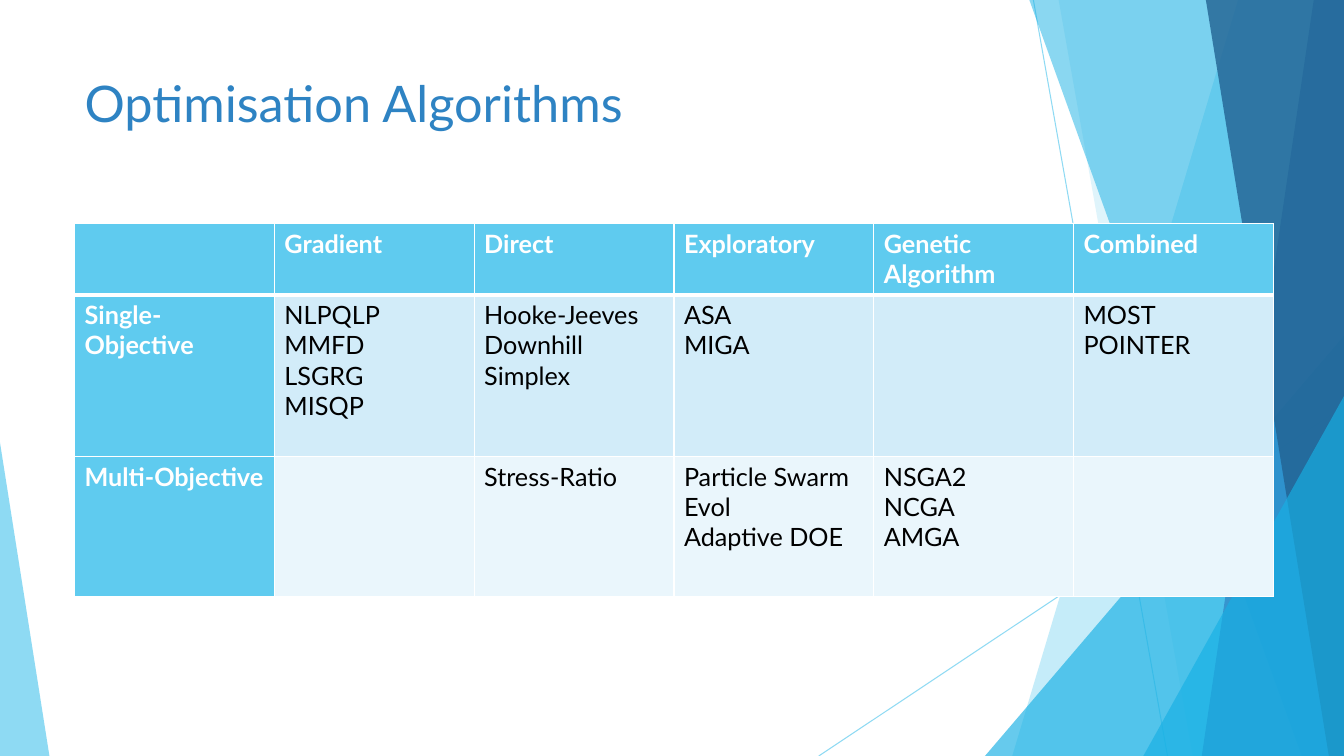
from lxml.etree import SubElement
from pptx import Presentation
from pptx.dml.color import RGBColor
from pptx.enum.shapes import MSO_CONNECTOR, MSO_SHAPE
from pptx.oxml.ns import qn
from pptx.util import Inches, Pt

SKY, CYAN, BLUE, NAVY = "5FCBEF", "17B0E4", "2E83C3", "226292"
WHITE, BLACK = "FFFFFF", "000000"
ROW_TINTS = ["D2ECF9", "EAF6FC"]


def rgb(value):
    return RGBColor.from_string(value)


class Deck:
    font = "Lato"

    def __init__(self):
        self.presentation = Presentation()
        self.presentation.slide_width = Inches(13.33)
        self.presentation.slide_height = Inches(7.5)
        self.slide = self.presentation.slides.add_slide(self.presentation.slide_layouts[6])

    def x(self, share):
        return round(self.presentation.slide_width * share / 100)

    def y(self, share):
        return round(self.presentation.slide_height * share / 100)

    def box(self, left, top, width, height):
        return self.x(left), self.y(top), self.x(width), self.y(height)

    def fade(self, fill, color, opacity):
        fill.solid()
        fill.fore_color.rgb = rgb(color)
        tint = fill._xPr.find(qn("a:solidFill"))[0]
        SubElement(tint, qn("a:alpha"), val=str(opacity * 1000))

    def paint(self, shape, color, opacity):
        shape.shadow.inherit = False
        shape.line.fill.background()
        self.fade(shape.fill, color, opacity)

    def line(self, start, end):
        ray = self.slide.shapes.add_connector(
            MSO_CONNECTOR.STRAIGHT,
            self.x(start[0]), self.y(start[1]), self.x(end[0]), self.y(end[1]))
        ray.line.width = Pt(0.75)
        self.fade(ray.line.fill, SKY, 70)
        SubElement(ray._element.spPr, qn("a:effectLst"))

    def band(self, top_x, bottom_x, color, opacity):
        outline = self.slide.shapes.build_freeform(self.x(top_x), 0)
        corners = [(100, 0), (100, 100), (bottom_x, 100)]
        outline.add_line_segments([(self.x(x), self.y(y)) for x, y in corners])
        self.paint(outline.convert_to_shape(), color, opacity)

    def triangle(self, left, top, width, apex, color, opacity):
        wedge = self.slide.shapes.add_shape(
            MSO_SHAPE.ISOSCELES_TRIANGLE, *self.box(left, top, width, 100 - top))
        wedge.adjustments[0] = apex
        self.paint(wedge, color, opacity)

    def set_text(self, frame, content, size, color, bold=False):
        frame.word_wrap = True
        frame.text = content
        for paragraph in frame.paragraphs:
            paragraph.font.name = self.font
            paragraph.font.size = Pt(size)
            paragraph.font.bold = bold
            paragraph.font.color.rgb = rgb(color)

    def title(self, content, *place):
        heading = self.slide.shapes.add_textbox(*self.box(*place))
        self.set_text(heading.text_frame, content, 36, BLUE)

    def border(self, cell, bottom_width):
        properties = cell._tc.get_or_add_tcPr()
        for index, side in enumerate(["lnL", "lnR", "lnT", "lnB"]):
            width = bottom_width if side == "lnB" else 1
            edge = properties.makeelement(qn(f"a:{side}"), w=str(Pt(width)))
            stroke = SubElement(edge, qn("a:solidFill"))
            SubElement(stroke, qn("a:srgbClr"), val=WHITE)
            properties.insert(index, edge)

    def table(self, rows, left, top, width, heights):
        grid = self.slide.shapes.add_table(
            len(rows), len(rows[0]), *self.box(left, top, width, sum(heights))).table
        grid.first_col = True
        for r, (row, height) in enumerate(zip(rows, heights)):
            grid.rows[r].height = self.y(height)
            for c, content in enumerate(row):
                cell = grid.cell(r, c)
                label = r == 0 or c == 0
                cell.fill.solid()
                cell.fill.fore_color.rgb = rgb(SKY if label else ROW_TINTS[r - 1])
                self.set_text(cell.text_frame, content, 18, WHITE if label else BLACK, label)
                self.border(cell, 3 if r == 0 else 1)


def main():
    deck = Deck()
    deck.line((76.89, 0), (86.87, 100))
    deck.line((100, 53.73), (60.92, 100))
    deck.band(92.12, 75.32, SKY, 36)
    deck.band(78.77, 88.75, SKY, 20)
    deck.triangle(73.29, 44.4, 26.71, 1, CYAN, 66)
    deck.band(76.59, 96.85, CYAN, 50)
    deck.band(97.75, 89.42, BLUE, 70)
    deck.band(89.72, 98.87, NAVY, 80)
    deck.triangle(85.07, 52.4, 14.93, 1, CYAN, 66)
    deck.triangle(0, 58.53, 3.68, 0, SKY, 70)

    deck.title("Optimisation Algorithms", 5.55, 8.93, 70.52, 28.13)
    algorithms = [
        ["", "Gradient", "Direct", "Exploratory", "Genetic Algorithm", "Combined"],
        ["Single-Objective", "NLPQLP\nMMFD\nLSGRG\nMISQP", "Hooke-Jeeves\nDownhill Simplex",
         "ASA\nMIGA", "", "MOST\nPOINTER"],
        ["Multi-Objective", "", "Stress-Ratio", "Particle Swarm\nEvol\nAdaptive DOE",
         "NSGA2\nNCGA\nAMGA", ""],
    ]
    deck.table(algorithms, 5.55, 29.6, 89.2, [9.4, 21.4, 18.53])
    deck.presentation.save("out.pptx")


if __name__ == "__main__":
    main()
